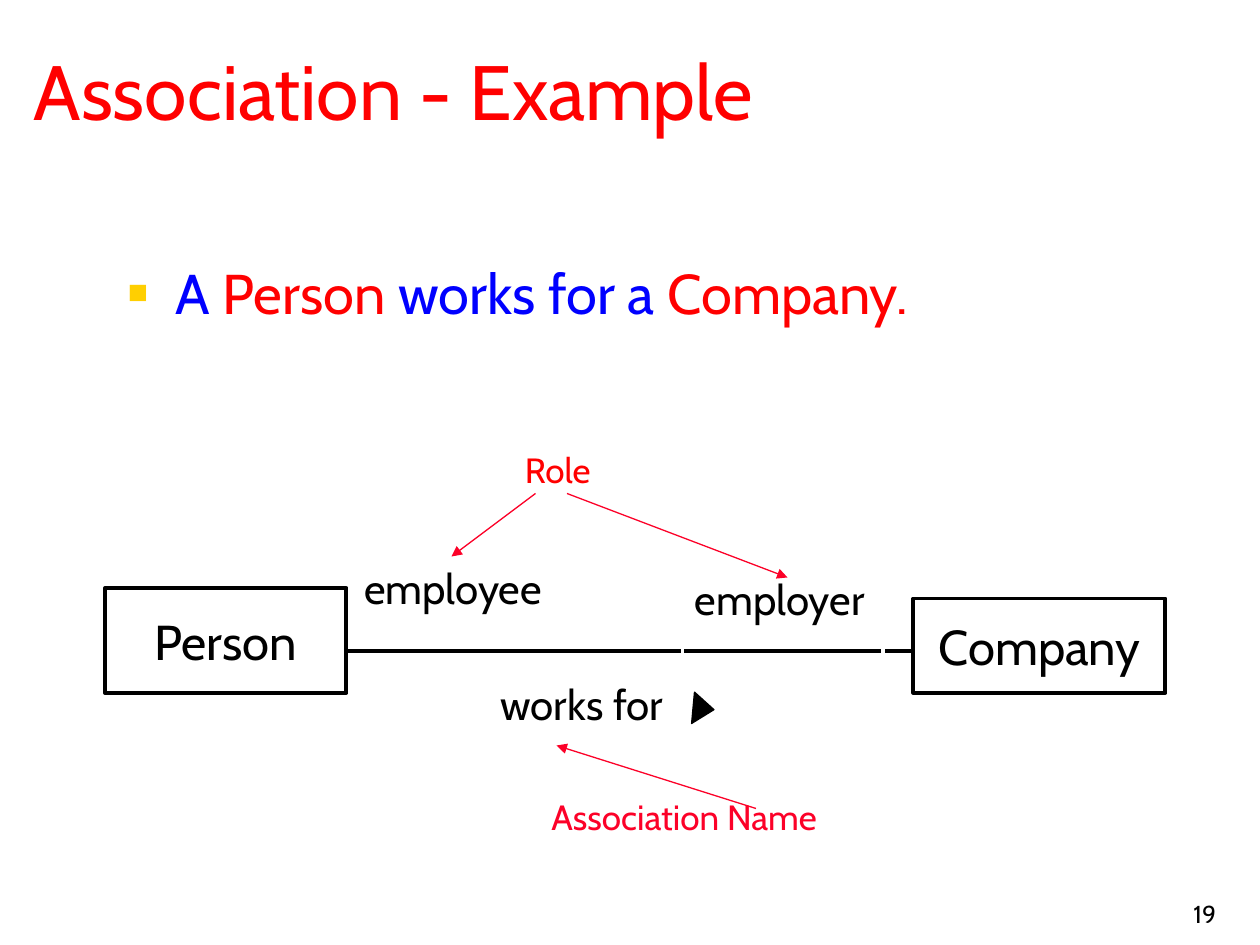
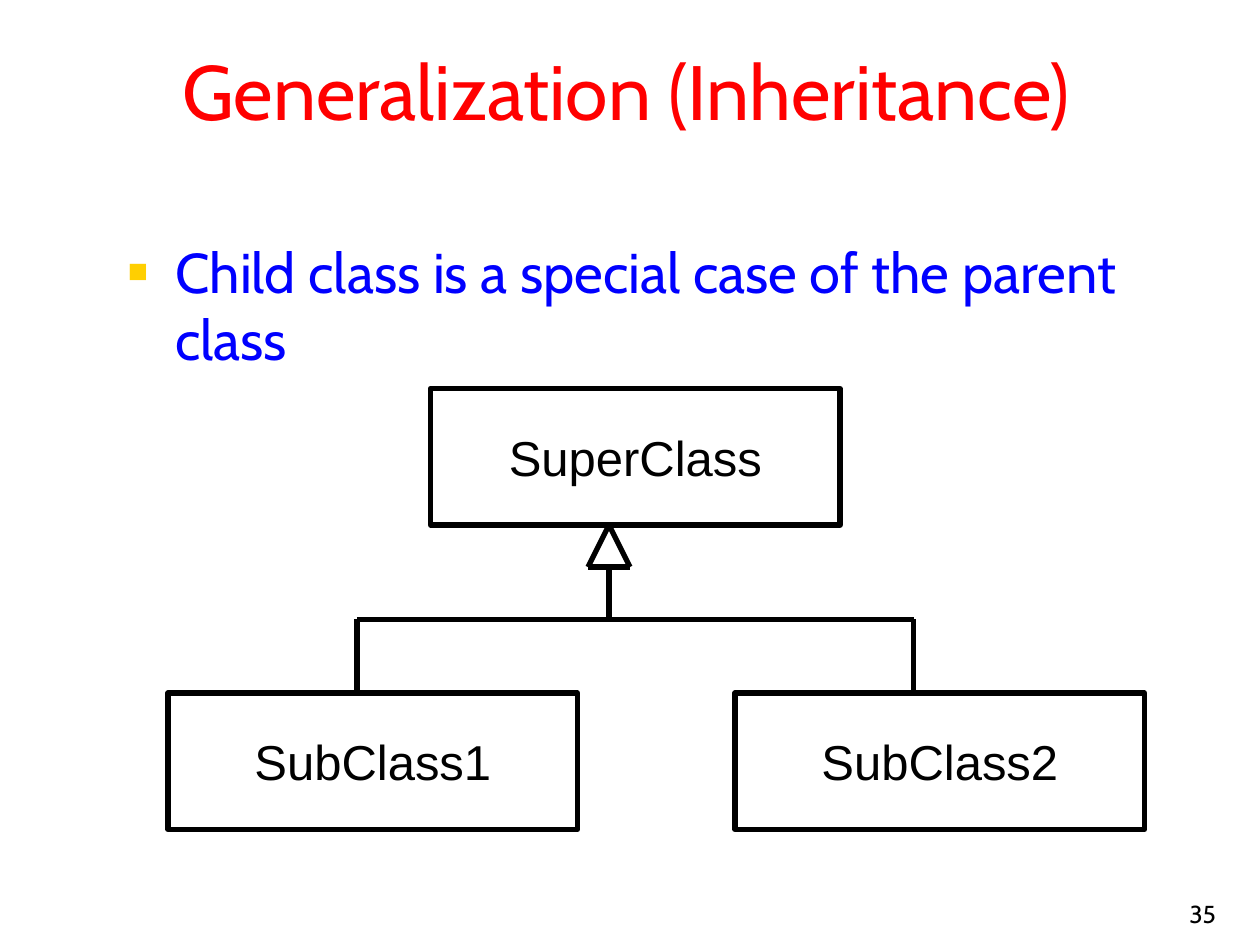
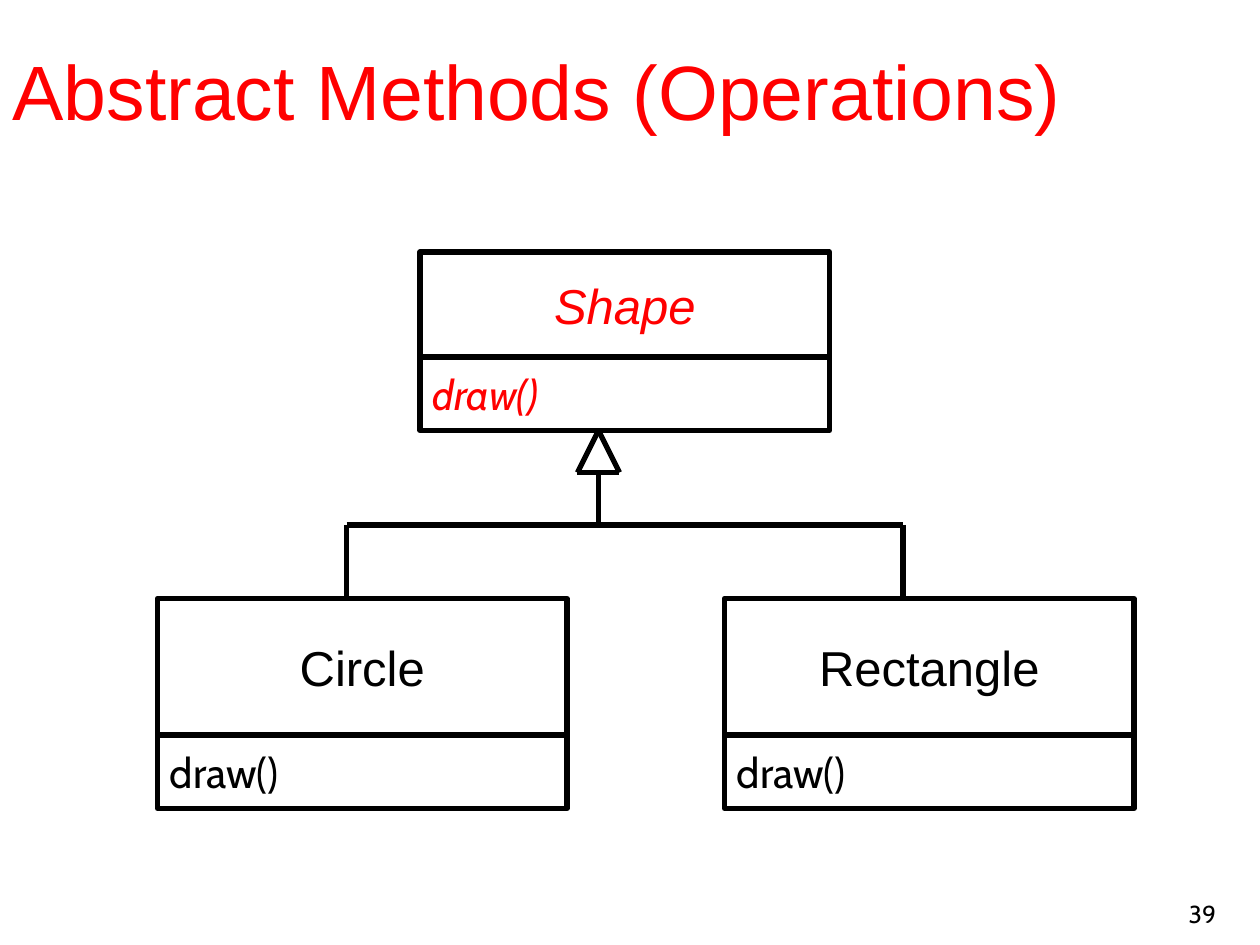
from lxml.etree import SubElement
from pptx import Presentation
from pptx.dml.color import RGBColor
from pptx.enum.shapes import MSO_CONNECTOR, MSO_SHAPE
from pptx.enum.text import MSO_ANCHOR, MSO_AUTO_SIZE, PP_ALIGN
from pptx.oxml.ns import qn
from pptx.util import Pt

# Shared style
BLACK = RGBColor(0x00, 0x00, 0x00)
WHITE = RGBColor(0xFF, 0xFF, 0xFF)
RED = RGBColor(0xFF, 0x00, 0x00)
CRIMSON = RGBColor(0xFC, 0x01, 0x28)
BLUE = RGBColor(0x00, 0x00, 0xFF)
GOLD = RGBColor(0xFF, 0xCF, 0x01)
CABIN = "Cabin"
ARIAL = "Arial"
TITLE_ONLY = 5


def write_text(frame, text, size=24, font=CABIN, color=BLACK, italic=False,
               align=PP_ALIGN.LEFT, anchor=MSO_ANCHOR.TOP):
    """Write a string, or a list of (text, color) spans, as one paragraph."""
    frame.word_wrap = True
    frame.auto_size = MSO_AUTO_SIZE.NONE
    frame.vertical_anchor = anchor
    para = frame.paragraphs[0]
    para.alignment = align
    spans = [(text, color)] if isinstance(text, str) else text
    for words, span_color in spans:
        span = para.add_run()
        span.text = words
        span.font.name = font
        span.font.size = Pt(size)
        span.font.italic = italic
        span.font.color.rgb = span_color
    return para


def add_bullet(para):
    para.space_before = Pt(8)
    props = para._p.get_or_add_pPr()
    props.set("marL", str(Pt(27)))
    props.set("indent", str(Pt(-27)))
    color = SubElement(props, qn("a:buClr"))
    SubElement(color, qn("a:srgbClr"), val=str(GOLD))
    SubElement(props, qn("a:buSzPct"), val="60000")
    SubElement(props, qn("a:buFont"), typeface=ARIAL)
    SubElement(props, qn("a:buChar"), char="■")


class SlideBuilder:
    def __init__(self, deck):
        self.deck = deck
        self.page = None

    def start(self, title, number, left=12, font=CABIN, align=PP_ALIGN.LEFT):
        self.page = self.deck.slides.add_slide(self.deck.slide_layouts[TITLE_ONLY])
        heading = self.page.shapes.title
        heading.left, heading.top = Pt(left), Pt(12)
        heading.width, heading.height = Pt(692), Pt(78)
        heading.fill.solid()
        heading.fill.fore_color.rgb = WHITE
        write_text(heading.text_frame, title, size=44, font=font, color=RED,
                   align=align, anchor=MSO_ANCHOR.MIDDLE)
        self.label(552, 498, 150, 36, str(number), size=14,
                   align=PP_ALIGN.RIGHT, anchor=MSO_ANCHOR.BOTTOM)

    def label(self, left, top, width, height, text, outline=None, **style):
        box = self.page.shapes.add_textbox(Pt(left), Pt(top), Pt(width), Pt(height))
        if outline is not None:
            box.line.color.rgb = outline
            box.line.width = Pt(2.25)
        return write_text(box.text_frame, text, **style)

    def bullet(self, top, text):
        add_bullet(self.label(66, top, 636, 350, text, size=32, color=BLUE))

    def shape(self, kind, left, top, width, height, fill=WHITE, weight=3):
        shape = self.page.shapes.add_shape(kind, Pt(left), Pt(top), Pt(width), Pt(height))
        shape.shadow.inherit = False
        shape.fill.solid()
        shape.fill.fore_color.rgb = fill
        shape.line.color.rgb = BLACK
        shape.line.width = Pt(weight)
        return shape

    def box(self, left, top, width, height, text, weight=3, **style):
        box = self.shape(MSO_SHAPE.RECTANGLE, left, top, width, height, weight=weight)
        write_text(box.text_frame, text, anchor=MSO_ANCHOR.MIDDLE, **style)

    def line(self, start, end, color=BLACK, weight=3, arrow=False):
        line = self.page.shapes.add_connector(
            MSO_CONNECTOR.STRAIGHT, *(Pt(value) for value in (*start, *end)))
        line.line.color.rgb = color
        line.line.width = Pt(weight)
        if arrow:
            SubElement(line.line._get_or_add_ln(), qn("a:tailEnd"), type="triangle")
        SubElement(line._element.spPr, qn("a:effectLst"))

    def class_box(self, left, top, name, height=78, operation=None,
                  color=BLACK, italic=False):
        self.box(left, top, 234, height, name, size=28, font=ARIAL, color=color,
                 italic=italic, align=PP_ALIGN.CENTER)
        if operation:
            self.box(left, top + height, 234, 42, operation, color=color, italic=italic)

    def inheritance(self, x, y):
        """Draw the open arrow with its tip at (x, y) and the branches below."""
        base, bar, bottom = y + 24, y + 54, y + 96
        left, right = x - 144, x + 174
        for start, end in (
            ((left, bottom), (left, bar)),
            ((left, bar), (right, bar)),
            ((right, bar), (right, bottom)),
            ((x, bar), (x, base)),
            ((x - 12, base), (x + 12, base)),
            ((x - 12, base), (x, y)),
            ((x + 12, base), (x, y)),
        ):
            self.line(start, end)

    def hierarchy(self, x, y, parent, children, parent_height=78, operation=None,
                  **parent_style):
        total = parent_height + (42 if operation else 0)
        self.class_box(x - 102, y - total, parent, parent_height, operation,
                       **parent_style)
        for offset, child in zip((-252, 72), children):
            self.class_box(x + offset, y + 96, child, operation=operation)
        self.inheritance(x, y)


def association_slide(builder):
    builder.start("Association - Example", 19)
    builder.bullet(144, [("A ", BLUE), ("Person ", RED),
                         ("works for a ", BLUE), ("Company.", RED)])

    # Classes and the association between them
    for left, top, width, height, name in ((60, 336, 138, 60, "Person"),
                                           (522, 342, 144, 54, "Company")):
        builder.box(left, top, width, height, name, weight=2.25, size=28,
                    align=PP_ALIGN.CENTER)
    builder.line((198, 372), (522, 372), weight=2.25)
    for left, top, width, height, text in ((201, 318, 125, 36, "employee"),
                                           (390, 324, 114.5, 65, "employer"),
                                           (279, 384, 121, 36, "works for")):
        builder.label(left, top, width, height, text, outline=WHITE)
    direction = builder.shape(MSO_SHAPE.ISOSCELES_TRIANGLE, 393, 399, 18, 12,
                              fill=BLACK, weight=0.75)
    direction.rotation = 95.3

    # Explanations with arrows
    builder.label(299.5, 451, 183, 32, "Association Name", size=20,
                  color=CRIMSON, align=PP_ALIGN.CENTER)
    builder.label(291, 253, 55.5, 32, "Role", size=20, color=RED,
                  align=PP_ALIGN.CENTER)
    for start, end in (((432, 462), (318, 426)),
                       ((306, 282), (258, 318)),
                       ((324, 282), (450, 330))):
        builder.line(start, end, color=CRIMSON, weight=0.75, arrow=True)


def generalization_slide(builder):
    builder.start("Generalization (Inheritance)", 35, align=PP_ALIGN.CENTER)
    builder.bullet(132, "Child class is a special case of the parent class")
    builder.hierarchy(348, 300, "SuperClass", ("SubClass1", "SubClass2"))


def abstract_methods_slide(builder):
    builder.start("Abstract Methods (Operations)", 39, left=0, font=ARIAL)
    builder.hierarchy(342, 246, "Shape", ("Circle", "Rectangle"), parent_height=60,
                      operation="draw()", color=RED, italic=True)


def main():
    deck = Presentation()
    deck.slide_width, deck.slide_height = Pt(720), Pt(540)
    builder = SlideBuilder(deck)
    association_slide(builder)
    generalization_slide(builder)
    abstract_methods_slide(builder)
    deck.save("out.pptx")


if __name__ == "__main__":
    main()
